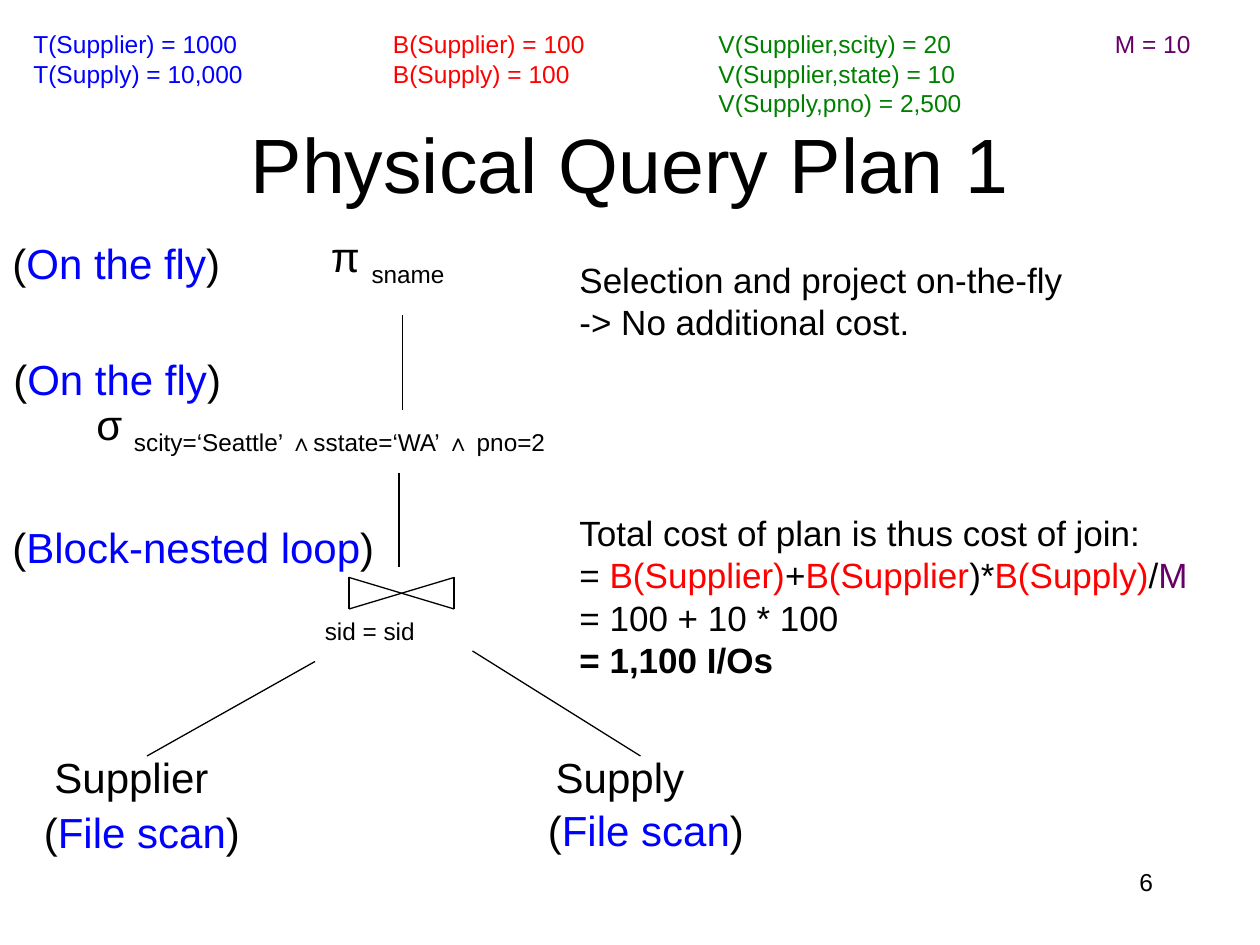
"""Build the slide "Physical Query Plan 1": a query plan tree with its cost."""
from lxml import etree
from pptx import Presentation
from pptx.dml.color import RGBColor
from pptx.enum import shapes, text
from pptx.oxml.ns import qn
from pptx.util import Pt

BLACK = RGBColor(0, 0, 0)
BLUE = RGBColor(0, 0, 255)
RED = RGBColor(255, 0, 0)
GREEN = RGBColor(0, 128, 0)
PURPLE = RGBColor(102, 0, 102)
LINE_HEIGHT = 1.21


def write(shape, paragraphs, size, wrap=False):
    """Fill a shape with paragraphs, each a list of (wording, colour) runs."""
    frame = shape.text_frame
    frame.word_wrap = wrap
    for index, runs in enumerate(paragraphs):
        paragraph = frame.add_paragraph() if index else frame.paragraphs[0]
        paragraph.line_spacing = Pt(round(size * LINE_HEIGHT, 1))
        for wording, colour in runs:
            run = paragraph.add_run()
            run.text = wording
            run.font.name = "Arial"
            run.font.size = Pt(size)
            run.font.color.rgb = colour
    return frame.paragraphs


def draw_line(parent, x1, y1, x2, y2):
    """Draw a thin black line without a shadow."""
    line = parent.add_connector(shapes.MSO_CONNECTOR.STRAIGHT, Pt(x1), Pt(y1), Pt(x2), Pt(y2))
    line.line.color.rgb = BLACK
    line.line.width = Pt(0.75)
    etree.SubElement(line._element.spPr, qn("a:effectLst"))


presentation = Presentation()
presentation.slide_width = Pt(720)
presentation.slide_height = Pt(540)
slide = presentation.slides.add_slide(presentation.slide_layouts[5])

title = slide.shapes.title
title.left, title.top, title.width, title.height = Pt(54), Pt(48), Pt(612), Pt(90)
title.text_frame.vertical_anchor = text.MSO_ANCHOR.MIDDLE
heading = write(title, [[("Physical Query Plan 1", BLACK)]], 44, wrap=True)
heading[0].alignment = text.PP_ALIGN.CENTER

number = slide.shapes.add_textbox(Pt(516), Pt(492), Pt(150), Pt(36))
write(number, [[("6", BLACK)]], 14, wrap=True)[0].alignment = text.PP_ALIGN.RIGHT

statistics = [
    (12, 135, BLUE, ["T(Supplier) = 1000", "T(Supply) = 10,000"]),
    (217.5, 127.5, RED, ["B(Supplier) = 100", "B(Supply) = 100"]),
    (403.5, 155.5, GREEN, ["V(Supplier,scity) = 20", "V(Supplier,state) = 10", "V(Supply,pno) = 2,500"]),
    (630, 58, PURPLE, ["M = 10"]),
]
for left, width, colour, lines in statistics:
    box = slide.shapes.add_textbox(Pt(left), Pt(13), Pt(width), Pt(7 + 17 * len(lines)))
    write(box, [[(line, colour)] for line in lines], 14)

operators = [
    (182, 132, 82, "π ", "sname"),
    (48, 228, 295, "σ ", "scity=‘Seattle’ ∧sstate=‘WA’ ∧ pno=2"),
    (178.5, 336, 74, "", "sid = sid"),
    (24, 425.5, 104, "Supplier", ""),
    (310.5, 426, 88.5, "Supply", ""),
]
for left, top, width, symbol, subscript in operators:
    box = slide.shapes.add_textbox(Pt(left), Pt(top), Pt(width), Pt(36.5))
    runs = [(wording, BLACK) for wording in (symbol, subscript) if wording]
    paragraph = write(box, [runs], 24)[0]
    if subscript:
        paragraph.runs[-1].font._element.set("baseline", "-25000")

methods = [
    (0, 132, 134.5, "On the fly"),
    (0.5, 198, 134.5, "On the fly"),
    (0, 294, 223, "Block-nested loop"),
    (18, 457, 127.5, "File scan"),
    (306, 456, 127.5, "File scan"),
]
for left, top, width, method in methods:
    box = slide.shapes.add_textbox(Pt(left), Pt(top), Pt(width), Pt(36.5))
    write(box, [[("(", BLACK), (method, BLUE), (")", BLACK)]], 24)

tree_edges = [
    (230, 180, 230, 234),
    (228, 270, 228, 324),
    (84, 432, 180, 378),
    (270, 372, 366, 432),
]
for edge in tree_edges:
    draw_line(slide.shapes, *edge)

left, right, top, bottom = 199.5, 259.5, 330, 348
join = slide.shapes.add_group_shape()
for x1, x2 in [(left, left), (right, right), (left, right), (right, left)]:
    draw_line(join.shapes, x1, top, x2, bottom)

cost = slide.shapes.add_textbox(Pt(324), Pt(144), Pt(384), Pt(250))
cost_lines = write(cost, [
    [("Selection and project on-the-fly", BLACK)],
    [("-> No additional cost.", BLACK)],
    [("Total cost of plan is thus cost of join:", BLACK)],
    [("= ", BLACK), ("B(Supplier)", RED), ("+", BLACK), ("B(Supplier", RED), (")*", BLACK),
     ("B(Supply)", RED), ("/", BLACK), ("M", PURPLE)],
    [("= 100 + 10 * 100", BLACK)],
    [("= 1,100 I/Os", BLACK)],
], 20, wrap=True)
cost_lines[2].space_before = Pt(96)
cost_lines[-1].runs[0].font.bold = True

presentation.save("out.pptx")
